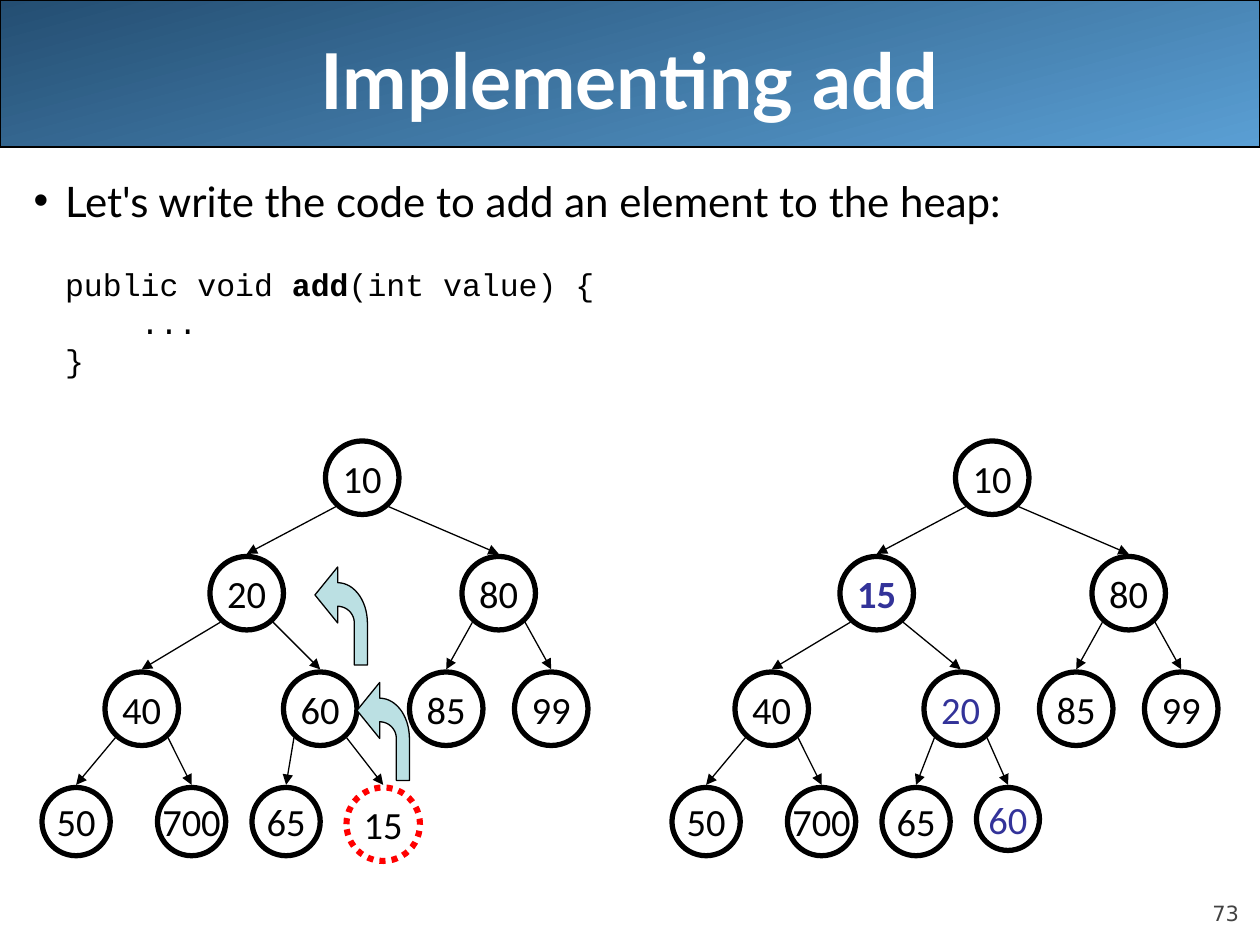
import math
from dataclasses import dataclass
from typing import Any, Optional

import lxml.etree
import pptx
import pptx.dml.color
import pptx.enum.dml
import pptx.enum.shapes
import pptx.enum.text
import pptx.oxml.ns
import pptx.util

Pt = pptx.util.Pt
qn = pptx.oxml.ns.qn
ALIGN = pptx.enum.text.PP_ALIGN
ANCHOR = pptx.enum.text.MSO_ANCHOR
NO_FIT = pptx.enum.text.MSO_AUTO_SIZE.NONE
SHAPE = pptx.enum.shapes.MSO_SHAPE

COLORS = {
    "ink": "000000",
    "title": "FFFFFF",
    "header_dark": "244E72",
    "header_light": "5A9FD4",
    "page": "424242",
    "moved": "333399",
    "added": "FF0000",
    "swap": "BBE0E3",
}
TITLE_FONT = {"name": "Lato", "size": Pt(44), "bold": True}
BULLET_FONT = {"name": "Lato", "size": Pt(24), "bold": False}
CODE_FONT = {"name": "Courier New", "size": Pt(18), "bold": False}
NODE_FONT = {"name": "Calibri", "size": Pt(22), "bold": False}
PAGE_FONT = {"name": "DejaVu Sans", "size": Pt(12), "bold": False}

TREE_TOP, LEVEL_STEP = 252, 66
TREE_OFFSET = 360
NODE_SIZE, LEAF_SIZE = 42, 39


@dataclass
class Node:
    value: str
    left: float
    level: int
    parent: Optional[int] = None
    right_child: bool = False
    size: float = NODE_SIZE
    color: str = "ink"
    bold: bool = False
    added: bool = False

    @property
    def top(self) -> float:
        return TREE_TOP + self.level * LEVEL_STEP


@dataclass
class CodeLine:
    runs: list[tuple[str, bool]]
    space_before: float = 4.5


def rgb(key: str) -> pptx.dml.color.RGBColor:
    return pptx.dml.color.RGBColor.from_string(COLORS[key])


def apply_format(target: Any, values: dict[str, Any]) -> None:
    for attribute, value in values.items():
        setattr(target, attribute, value)


def place(shape: Any, left: float, top: float, width: float, height: float) -> None:
    apply_format(shape, {"left": Pt(left), "top": Pt(top),
                         "width": Pt(width), "height": Pt(height)})


def add_run(paragraph: Any, text: str, font: dict[str, Any], color: str) -> None:
    run = paragraph.add_run()
    run.text = text
    apply_format(run.font, font)
    run.font.color.rgb = rgb(color)


def set_line(shape: Any, color: str = "ink", width: float = 0.75) -> None:
    shape.line.color.rgb = rgb(color)
    shape.line.width = Pt(width)


def set_bullet(paragraph: Any, char: str = "") -> None:
    properties = paragraph._p.get_or_add_pPr()
    properties.set("marL", str(Pt(18)))
    properties.set("indent", str(-Pt(18) if char else 0))
    if char:
        bullet_color = lxml.etree.SubElement(properties, qn("a:buClr"))
        lxml.etree.SubElement(bullet_color, qn("a:srgbClr"), val=COLORS["ink"])
        lxml.etree.SubElement(properties, qn("a:buChar"), char=char)
    else:
        lxml.etree.SubElement(properties, qn("a:buNone"))


def add_header(slide: Any) -> None:
    title = slide.shapes.title
    band = slide.shapes.add_shape(SHAPE.RECTANGLE, 0, 0, Pt(720), Pt(84))
    band.shadow.inherit = False
    band.fill.gradient()
    band.fill.gradient_angle = 285
    for stop, color, position in zip(band.fill.gradient_stops,
                                     ("header_dark", "header_light"), (0, 1)):
        stop.color.rgb = rgb(color)
        stop.position = position
    set_line(band)
    title.element.addprevious(band.element)

    place(title, 36, 0, 648, 90)
    apply_format(title.text_frame, {"auto_size": NO_FIT, "word_wrap": True,
                                    "vertical_anchor": ANCHOR.MIDDLE})
    heading = title.text_frame.paragraphs[0]
    heading.alignment = ALIGN.CENTER
    add_run(heading, "Implementing add", TITLE_FONT, "title")


def add_body(slide: Any, bullet_text: str, code: list[CodeLine]) -> None:
    body = slide.placeholders[1]
    place(body, 12, 102, 708, 408)
    frame = body.text_frame
    apply_format(frame, {"auto_size": NO_FIT, "vertical_anchor": ANCHOR.TOP})
    bullet = frame.paragraphs[0]
    set_bullet(bullet, "•")
    apply_format(bullet, {"line_spacing": 0.8, "space_before": Pt(0)})
    add_run(bullet, bullet_text, BULLET_FONT, "ink")
    for line in code:
        paragraph = frame.add_paragraph()
        set_bullet(paragraph)
        apply_format(paragraph, {"line_spacing": 0.8,
                                 "space_before": Pt(line.space_before)})
        for text, bold in line.runs:
            add_run(paragraph, text, CODE_FONT | {"bold": bold}, "ink")


def add_page_number(slide: Any, number: str) -> None:
    page = slide.shapes.add_textbox(Pt(648), Pt(500.5), Pt(60), Pt(28.5))
    apply_format(page.text_frame, {
        "word_wrap": True, "vertical_anchor": ANCHOR.BOTTOM, "margin_left": 0,
        "margin_right": 0, "margin_top": 0, "margin_bottom": 0})
    paragraph = page.text_frame.paragraphs[0]
    paragraph.alignment = ALIGN.RIGHT
    add_run(paragraph, number, PAGE_FONT, "page")


def add_node(slide: Any, node: Node, offset: float) -> None:
    circle = slide.shapes.add_shape(SHAPE.OVAL, Pt(node.left + offset), Pt(node.top),
                                    Pt(node.size), Pt(node.size))
    circle.shadow.inherit = False
    circle.fill.background()
    if node.added:
        set_line(circle, "added", 3.5)
        circle.line.dash_style = pptx.enum.dml.MSO_LINE.ROUND_DOT
    else:
        set_line(circle, width=3)
    apply_format(circle.text_frame, {"word_wrap": False,
                                     "vertical_anchor": ANCHOR.MIDDLE})
    paragraph = circle.text_frame.paragraphs[0]
    paragraph.alignment = ALIGN.CENTER
    add_run(paragraph, node.value, NODE_FONT | {"bold": node.bold}, node.color)


def add_edge(slide: Any, parent: Node, child: Node, offset: float) -> None:
    start_x = parent.left + (36 if child.right_child else 6) + offset
    end_x = child.left + child.size / 2 + offset
    edge = slide.shapes.add_connector(
        pptx.enum.shapes.MSO_CONNECTOR.STRAIGHT,
        Pt(start_x), Pt(parent.top + 37.5), Pt(end_x), Pt(child.top - 1.5))
    set_line(edge)
    lxml.etree.SubElement(edge.line._get_or_add_ln(), qn("a:tailEnd"), type="triangle")
    lxml.etree.SubElement(edge.element.spPr, qn("a:effectLst"))


def add_tree(slide: Any, nodes: list[Node], offset: float = 0) -> None:
    for node in nodes:
        add_node(slide, node, offset)
        if node.parent is not None:
            add_edge(slide, nodes[node.parent], node, offset)


def arc(radius_x: float, radius_y: float) -> list[tuple[float, float]]:
    angles = [math.radians(degrees) for degrees in range(0, 91, 6)]
    return [(13 + radius_x * math.sin(a), 32 - radius_y * math.cos(a)) for a in angles]


def add_swap_arrow(slide: Any, left: float, top: float) -> None:
    outline = [(0, 16), (13, 0), *arc(17, 23), (30, 56), (22.5, 56),
               *reversed(arc(9.5, 9.5)), (13, 32)]
    points = [(Pt(left + x), Pt(top + y)) for x, y in outline]
    builder = slide.shapes.build_freeform(*points[0])
    builder.add_line_segments(points[1:], close=True)
    arrow = builder.convert_to_shape()
    arrow.shadow.inherit = False
    arrow.fill.solid()
    arrow.fill.fore_color.rgb = rgb("swap")
    set_line(arrow)


def heap(upper: Node, middle: Node, last: Node) -> list[Node]:
    return [
        Node("10", 186, 0), upper, Node("80", 264, 1, 0, True),
        Node("40", 60, 2, 1), middle,
        Node("85", 234, 2, 2), Node("99", 294, 2, 2, True),
        Node("50", 24, 3, 3, size=LEAF_SIZE),
        Node("700", 90, 3, 3, True, size=LEAF_SIZE),
        Node("65", 144, 3, 4, size=LEAF_SIZE), last,
    ]


def main() -> None:
    deck = pptx.Presentation()
    deck.slide_width, deck.slide_height = Pt(720), Pt(540)
    slide = deck.slides.add_slide(deck.slide_layouts[1])
    add_header(slide)
    add_body(slide, "Let's write the code to add an element to the heap:", [
        CodeLine([("public void ", False), ("add", True), ("(int value) {", False)], 27),
        CodeLine([("    ...", False)]),
        CodeLine([("}", False)]),
    ])
    add_page_number(slide, "73")
    before = heap(Node("20", 120, 1, 0), Node("60", 162, 2, 1, True),
                  Node("15", 198, 3, 4, True, added=True))
    after = heap(Node("15", 120, 1, 0, color="moved", bold=True),
                 Node("20", 168, 2, 1, True, color="moved"),
                 Node("60", 198, 3, 4, True, size=36, color="moved"))
    add_tree(slide, before)
    for left, top in ((204, 390), (180, 324)):
        add_swap_arrow(slide, left, top)
    add_tree(slide, after, TREE_OFFSET)
    deck.save("out.pptx")


if __name__ == "__main__":
    main()
